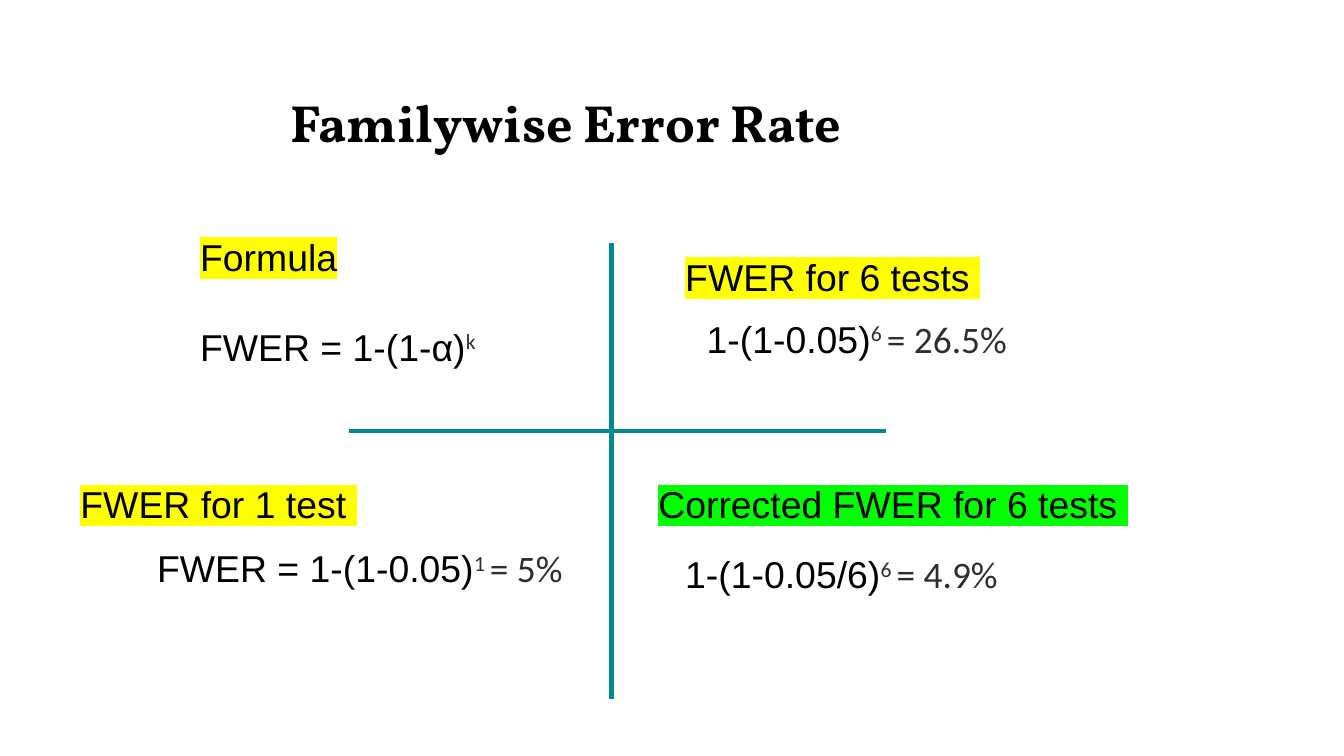
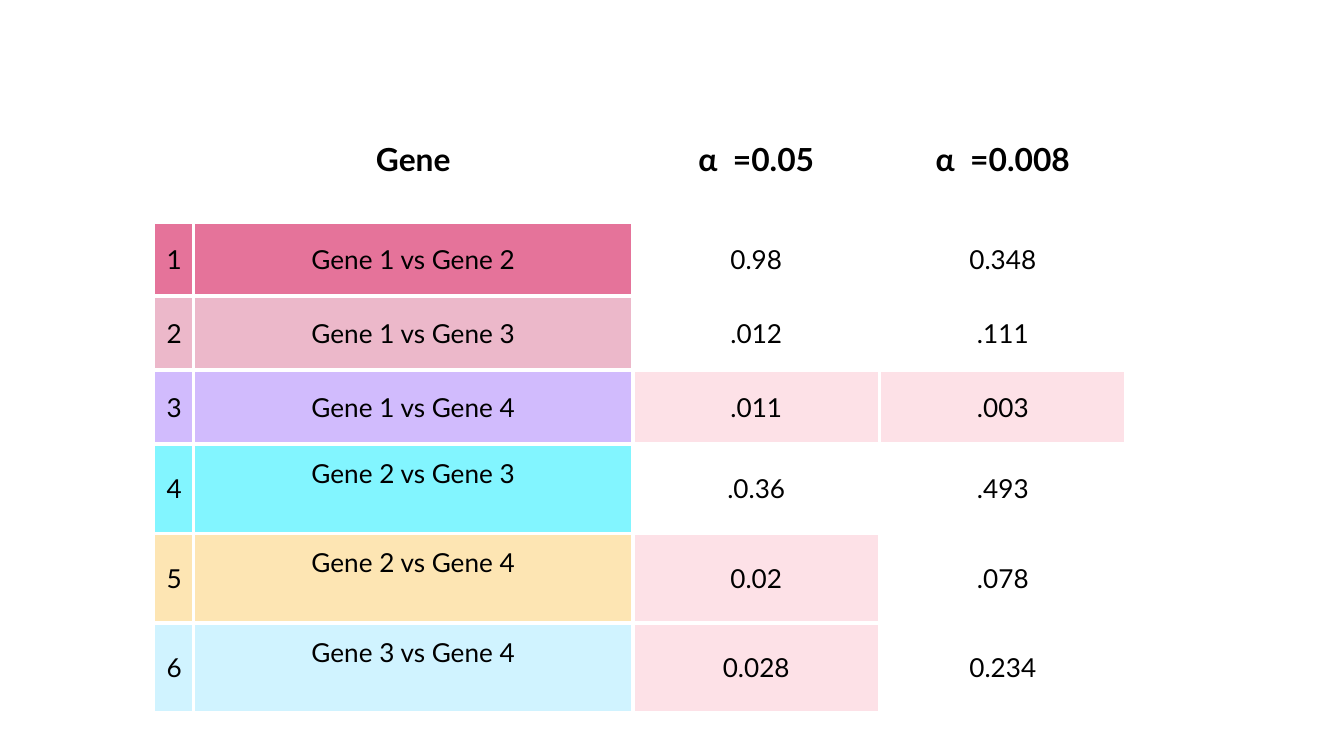
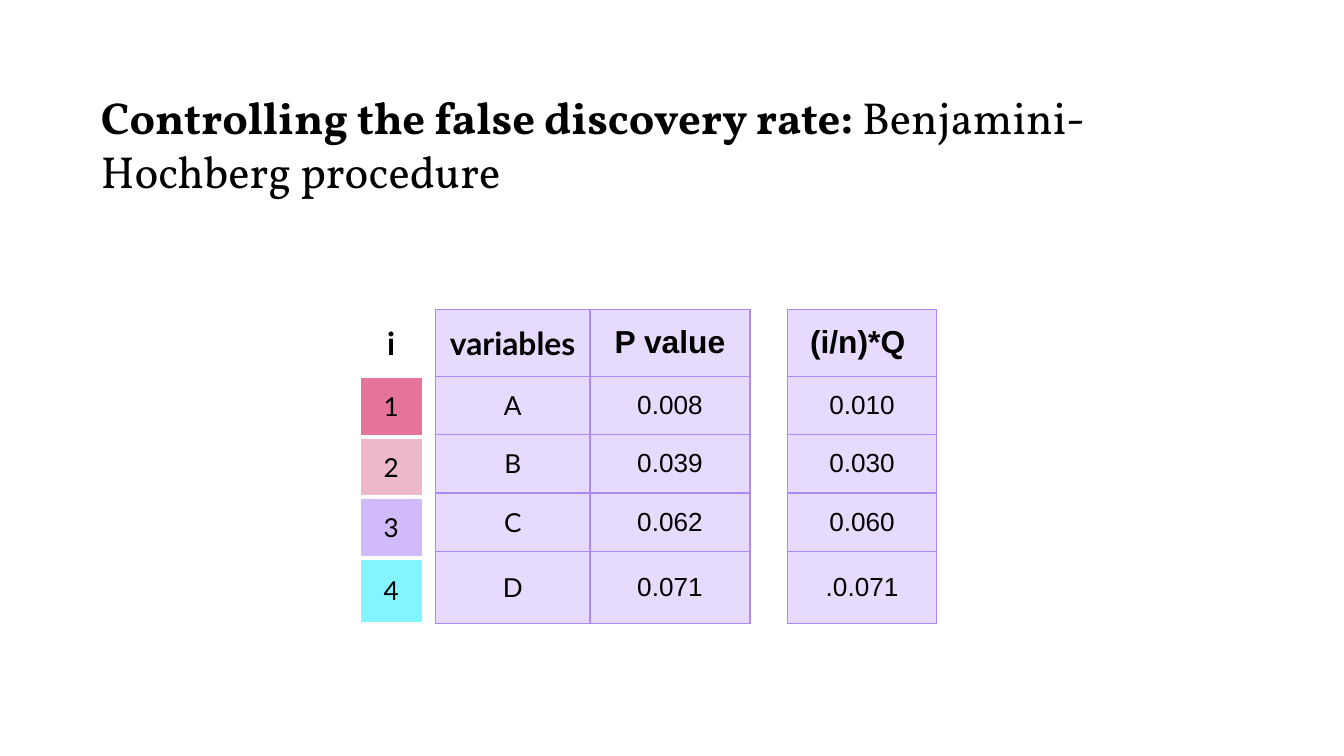
from dataclasses import dataclass, field

from lxml import etree
from pptx import Presentation
from pptx.dml.color import RGBColor
from pptx.enum.shapes import MSO_CONNECTOR
from pptx.enum.text import MSO_ANCHOR, MSO_AUTO_SIZE, PP_ALIGN
from pptx.oxml.ns import qn
from pptx.util import Emu, Inches, Pt

# Shared look: lengths are columns and rows of a tenth of an inch
GRID = Inches(0.1)
SLIDE_COLUMNS, SLIDE_ROWS = 100, 56.25
TITLE_ONLY, BLANK = 5, 6
BLACK, WHITE, CHARCOAL, TEAL = "000000", "FFFFFF", "2E2E30", "008894"
YELLOW, GREEN, BLUSH = "FFFF00", "00FF00", "FDE1E7"
VIOLET, LAVENDER = "AD88F9", "E6DBFD"
RANK_FILLS = ["E5739A", "ECB8CA", "D1BBFD", "82F5FF", "FDE5B3", "D0F3FF"]
BODY, RESULT, TABLE, HEADING = "Arial", "Calibri", "Lato", "Vollkorn"


@dataclass
class Piece:
    text: str
    size: float = 20
    font: str = BODY
    color: str = BLACK
    bold: bool = False
    raised: bool = False
    highlight: str | None = None


@dataclass
class Box:
    left: float
    top: float
    width: float
    height: float

    def lengths(self) -> list[Emu]:
        return [grid(n) for n in (self.left, self.top, self.width, self.height)]


@dataclass
class TableLayout:
    left: float
    top: float
    columns: list[float]
    rows: list[float]
    cells: list[list[str]]
    fills: list[list[str]]
    border: str
    border_points: float
    fonts: list[str]
    top_cells: set[tuple[int, int]] = field(default_factory=set)


def grid(count: float) -> Emu:
    return Emu(round(count * GRID))


def rgb(color: str) -> RGBColor:
    return RGBColor.from_string(color)


def write(paragraph, pieces: list[Piece]) -> None:
    for piece in pieces:
        run = paragraph.add_run()
        run.text = piece.text
        run.font.size = Pt(piece.size)
        run.font.name = piece.font
        run.font.bold = piece.bold
        run.font.color.rgb = rgb(piece.color)
        properties = run.font._element
        if piece.raised:
            properties.set("baseline", "30000")
        if piece.highlight:
            highlight = etree.Element(qn("a:highlight"))
            etree.SubElement(highlight, qn("a:srgbClr"), val=piece.highlight)
            properties.find(qn("a:solidFill")).addnext(highlight)


def fill_text(shape, pieces: list[Piece]) -> None:
    frame = shape.text_frame
    frame.word_wrap = True
    frame.auto_size = MSO_AUTO_SIZE.SHAPE_TO_FIT_TEXT
    frame.vertical_anchor = MSO_ANCHOR.TOP
    frame.paragraphs[0].alignment = PP_ALIGN.LEFT
    write(frame.paragraphs[0], pieces)


def add_text(slide, box: Box, pieces: list[Piece]) -> None:
    fill_text(slide.shapes.add_textbox(*box.lengths()), pieces)


def set_title(slide, box: Box, pieces: list[Piece]) -> None:
    title = slide.shapes.title
    title.left, title.top, title.width, title.height = box.lengths()
    fill_text(title, pieces)


def add_line(slide, start: tuple[float, float], end: tuple[float, float]) -> None:
    ends = [grid(n) for n in (*start, *end)]
    line = slide.shapes.add_connector(MSO_CONNECTOR.STRAIGHT, *ends)
    line.line.color.rgb = rgb(TEAL)
    line.line.width = Pt(2.25)
    etree.SubElement(line._element.spPr, qn("a:effectLst"))


def set_borders(cell, color: str, points: float) -> None:
    properties = cell._tc.get_or_add_tcPr()
    for index, side in enumerate(("lnL", "lnR", "lnT", "lnB")):
        border = etree.Element(qn(f"a:{side}"), w=str(Pt(points)))
        solid = etree.SubElement(border, qn("a:solidFill"))
        etree.SubElement(solid, qn("a:srgbClr"), val=color)
        properties.insert(index, border)


def add_table(slide, layout: TableLayout) -> None:
    box = Box(layout.left, layout.top, sum(layout.columns), sum(layout.rows))
    table = slide.shapes.add_table(
        len(layout.rows), len(layout.columns), *box.lengths()).table
    table.first_row = table.horz_banding = False
    for column, width in zip(table.columns, layout.columns):
        column.width = grid(width)
    for r, height in enumerate(layout.rows):
        table.rows[r].height = grid(height)
        for c, text in enumerate(layout.cells[r]):
            cell = table.cell(r, c)
            cell.fill.solid()
            cell.fill.fore_color.rgb = rgb(layout.fills[r][c])
            set_borders(cell, layout.border, layout.border_points)
            cell.margin_left = cell.margin_right = GRID
            cell.margin_top = cell.margin_bottom = GRID
            at_top = (r, c) in layout.top_cells
            cell.vertical_anchor = MSO_ANCHOR.TOP if at_top else MSO_ANCHOR.MIDDLE
            paragraph = cell.text_frame.paragraphs[0]
            paragraph.alignment = PP_ALIGN.CENTER
            if text:
                size = 14 if r else 17
                write(paragraph, [Piece(text, size, layout.fonts[c], bold=r == 0)])


def build_error_rate(presentation) -> None:
    slide = presentation.slides.add_slide(presentation.slide_layouts[TITLE_ONLY])
    set_title(slide, Box(20.6, 6.2, 58.8, 5.7),
              [Piece("Familywise Error Rate", 28, HEADING, bold=True)])

    # Formulas: place, base, exponent, result
    formulas = [
        (Box(13.9, 23.6, 47.1, 4.4), "FWER = 1-(1-α)", "k", ""),
        (Box(10.7, 40.1, 40.9, 4.4), "FWER = 1-(1-0.05)", "1 ", "= 5%"),
        (Box(51.6, 23, 40.9, 4.4), "1-(1-0.05)", "6 ", "= 26.5%"),
        (Box(50, 40.5, 40.9, 4.4), "1-(1-0.05/6)", "6 ", "= 4.9%"),
    ]
    for box, base, exponent, result in formulas:
        pieces = [Piece(base),
                  Piece(exponent, font=RESULT, color=CHARCOAL, raised=True)]
        if result:
            pieces.append(Piece(result, font=RESULT, color=CHARCOAL))
        add_text(slide, box, pieces)

    # Cross between the four quarters
    add_line(slide, (45.5, 18.1), (45.5, 52))
    add_line(slide, (26, 32.1), (65.9, 32.1))

    # Quarter labels
    labels = [
        (13.9, 16.9, "Formula", YELLOW),
        (5, 35.3, "FWER for 1 test ", YELLOW),
        (50, 18.4, "FWER for 6 tests ", YELLOW),
        (48, 35.3, "Corrected FWER for 6 tests ", GREEN),
    ]
    for left, top, text, color in labels:
        add_text(slide, Box(left, top, 47.1, 4.4), [Piece(text, highlight=color)])


def build_gene_table(presentation) -> None:
    slide = presentation.slides.add_slide(presentation.slide_layouts[BLANK])
    cells = [
        ["", "Gene", "α  =0.05", "α  =0.008"],
        ["1", "Gene 1 vs Gene 2", "0.98", "0.348"],
        ["2", "Gene 1 vs Gene 3", ".012", ".111"],
        ["3", "Gene 1 vs Gene 4", ".011", ".003"],
        ["4", "Gene 2 vs Gene 3", ".0.36", ".493"],
        ["5", "Gene 2 vs Gene 4", "0.02", ".078"],
        ["6", "Gene 3 vs Gene 4", "0.028", "0.234"],
    ]
    significant = {(3, 2), (3, 3), (5, 2), (6, 2)}
    fills = [[WHITE] * 4]
    for r, color in enumerate(RANK_FILLS, start=1):
        marks = [BLUSH if (r, c) in significant else WHITE for c in (2, 3)]
        fills.append([color, color, *marks])
    add_table(slide, TableLayout(
        11.4, 7.1, [3, 32.7, 18.35, 18.35], [9.45] + [5.5] * 3 + [6.66] * 3,
        cells, fills, WHITE, 2.25, [TABLE] * 4,
        top_cells={(r, 1) for r in (4, 5, 6)}))


def build_discovery_rate(presentation) -> None:
    slide = presentation.slides.add_slide(presentation.slide_layouts[TITLE_ONLY])

    # Ranks
    top = 23
    add_table(slide, TableLayout(
        26.7, top, [4.8], [5, 4.5, 4.5, 4.5, 4.9],
        [["i"], ["1"], ["2"], ["3"], ["4"]],
        [[WHITE]] + [[color] for color in RANK_FILLS[:4]],
        WHITE, 2.25, [TABLE]))

    # P values and their thresholds
    value_rows = [5, 3.5, 3.5, 3.5, 5.4]
    p_values = [["variables", "P value"], ["A", "0.008"], ["B", "0.039"],
                ["C", "0.062"], ["D", "0.071"]]
    thresholds = [["(i/n)*Q "], ["0.010"], ["0.030"], ["0.060"], [".0.071"]]
    for left, columns, cells, fonts in [
        (32.4, [11.5, 11.9], p_values, [TABLE, BODY]),
        (58.6, [11.1], thresholds, [BODY]),
    ]:
        fills = [[LAVENDER] * len(columns)] * len(value_rows)
        add_table(slide, TableLayout(left, top, columns, value_rows, cells, fills,
                                     VIOLET, 0.75, fonts))

    set_title(slide, Box(6.5, 6.2, 89.2, 13.8), [
        Piece("Controlling the false discovery rate: ", 24, HEADING, bold=True),
        Piece("Benjamini-Hochberg procedure", 24, HEADING)])


def main() -> None:
    presentation = Presentation()
    presentation.slide_width = grid(SLIDE_COLUMNS)
    presentation.slide_height = grid(SLIDE_ROWS)
    build_error_rate(presentation)
    build_gene_table(presentation)
    build_discovery_rate(presentation)
    presentation.save("out.pptx")


if __name__ == "__main__":
    main()
